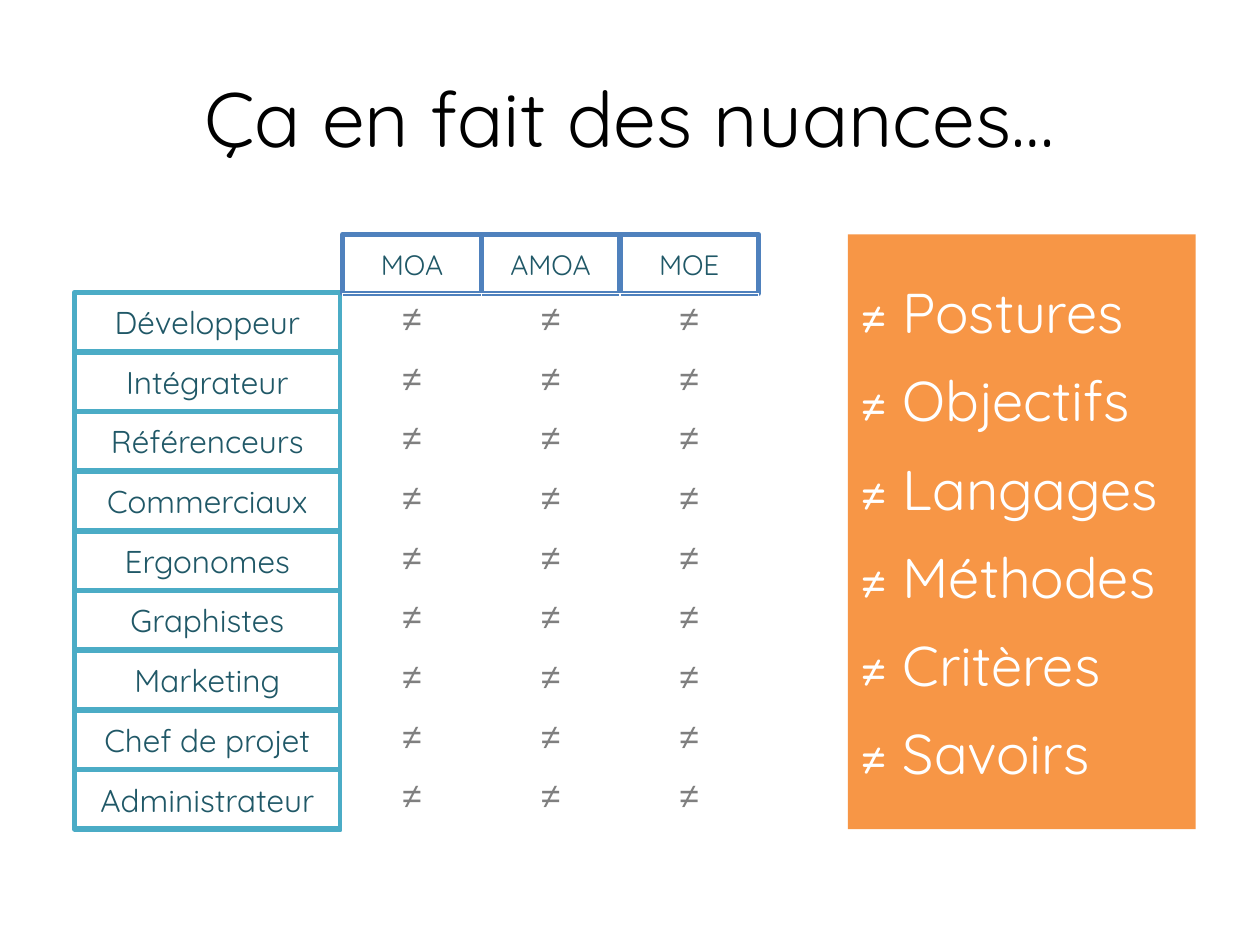
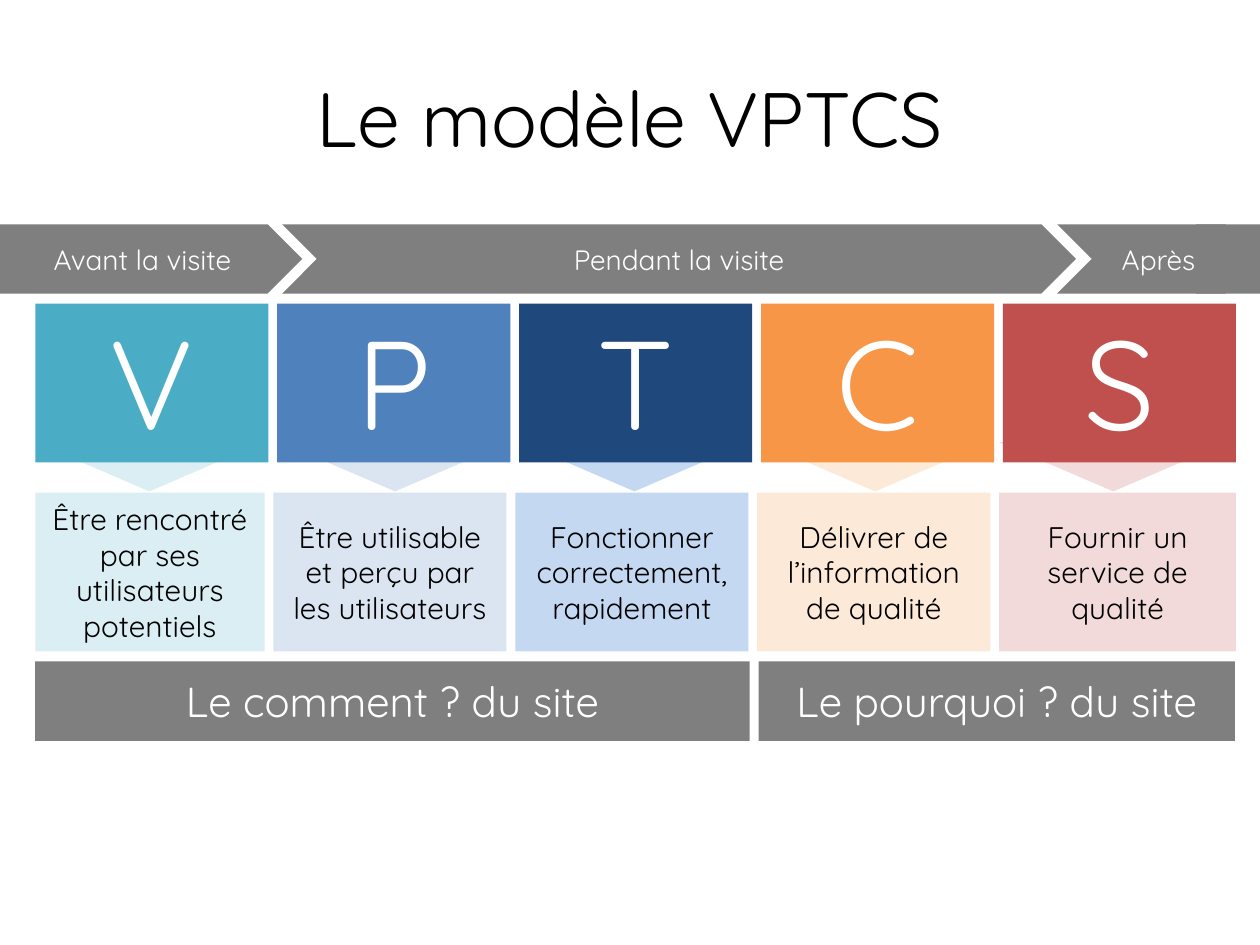
from pptx import Presentation
from pptx.dml.color import RGBColor
from pptx.enum.shapes import MSO_SHAPE
from pptx.enum.text import MSO_ANCHOR, PP_ALIGN
from pptx.util import Inches, Pt

COLORS = {
    "black": "000000", "white": "FFFFFF", "gray": "7F7F7F", "ink": "205867",
    "teal": "4BACC6", "blue": "4F81BD", "navy": "1F497D",
    "orange": "F79646", "red": "C0504D",
    "teal_light": "DAEEF3", "blue_light": "DAE5F1", "navy_light": "C5D8F1",
    "orange_light": "FDE9D8", "red_light": "F2DADA",
}
FONT = "Quicksand"


def add_text(tf, text, size=18, color="white", font=FONT,
             align=PP_ALIGN.CENTER, anchor=MSO_ANCHOR.MIDDLE, before=0):
    """Write one paragraph per line of text."""
    tf.word_wrap = True
    tf.vertical_anchor = anchor
    for i, line in enumerate(text.split("\n")):
        p = tf.paragraphs[0] if i == 0 else tf.add_paragraph()
        p.alignment = align
        if i and before:
            p.space_before = Pt(before)
        r = p.add_run()
        r.text = line
        r.font.name = font
        r.font.size = Pt(size)
        r.font.color.rgb = RGBColor.from_string(COLORS[color])


def add_box(s, x, y, w, h, text="", fill=None, line=None,
            kind=MSO_SHAPE.RECTANGLE, **fmt):
    sp = s.shapes.add_shape(kind, Inches(x), Inches(y), Inches(w), Inches(h))
    sp.shadow.inherit = False
    if fill:
        sp.fill.solid()
        sp.fill.fore_color.rgb = RGBColor.from_string(COLORS[fill])
    else:
        sp.fill.background()
    if line:
        sp.line.color.rgb = RGBColor.from_string(COLORS[line])
        sp.line.width = Pt(3)
    else:
        sp.line.fill.background()
    if text:
        add_text(sp.text_frame, text, **fmt)
    return sp


prs = Presentation()
prs.slide_width, prs.slide_height = Inches(10), Inches(7.5)

# Slides with their titles
slides = []
for title in ["Ça en fait des nuances…", "Le modèle VPTCS"]:
    s = prs.slides.add_slide(prs.slide_layouts[6])
    tb = s.shapes.add_textbox(Inches(0.5), Inches(0.3), Inches(9), Inches(1.25))
    add_text(tb.text_frame, title, size=44, color="black")
    slides.append(s)

# Slide 1: job rows
s = slides[0]
jobs = ["Développeur", "Intégrateur", "Référenceurs", "Commerciaux", "Ergonomes",
        "Graphistes", "Marketing", "Chef de projet", "Administrateur"]
row_step = (6.11 - 2.32) / (len(jobs) - 1)
for i, job in enumerate(jobs):
    add_box(s, 0.59, 2.32 + i * row_step, 2.11, 0.47, job, line="teal", color="ink")

# Role columns
roles = ["MOA", "AMOA", "MOE"]
for i, role in enumerate(roles):
    add_box(s, 2.72 + i * 1.1, 1.86, 1.1, 0.47, role, line="blue",
            size=16, color="ink")

# Grid of differences
table = s.shapes.add_table(len(jobs), len(roles), Inches(2.72), Inches(2.33),
                           Inches(1.1 * len(roles)),
                           Inches(row_step * len(jobs))).table
table.first_row = table.horz_banding = False
for row in table.rows:
    row.height = Inches(row_step)
    for cell in row.cells:
        cell.fill.background()
        add_text(cell.text_frame, "≠", size=20, color="gray", font="Arial")
        cell.vertical_anchor = MSO_ANCHOR.TOP

# Panel of differences
topics = ["Postures", "Objectifs", "Langages", "Méthodes", "Critères", "Savoirs"]
add_box(s, 6.73, 1.86, 2.76, 4.72, "\n".join("≠ " + t for t in topics),
        fill="orange", size=32, align=PP_ALIGN.LEFT, before=12)

# Slide 2: bottom bars
s = slides[1]
add_box(s, 6.02, 5.25, 3.78, 0.63, "Le pourquoi ? du site", fill="gray", size=24)
add_box(s, 0.28, 5.25, 5.67, 0.63, "Le comment ? du site", fill="gray", size=24)

# Visit timeline
steps = [
    ("Avant la visite", 0, 2.4, MSO_SHAPE.PENTAGON),
    ("Pendant la visite", 2.24, 6.3, MSO_SHAPE.CHEVRON),
    ("Après", 8.39, 1.61, MSO_SHAPE.CHEVRON),
]
for text, x, w, kind in steps:
    add_box(s, x, 1.78, w, 0.55, text, fill="gray", kind=kind, size=16)
add_box(s, 9.49, 1.78, 0.51, 0.55, fill="gray")

# Cards: letter, colour, tip left, description left and width, description
cards = [
    ("V", "teal", 0.28, 0.28, 1.82, "Être rencontré par ses utilisateurs potentiels"),
    ("P", "blue", 2.23, 2.17, 1.85, "Être utilisable et perçu par les utilisateurs"),
    ("T", "navy", 4.13, 4.09, 1.85, "Fonctionner correctement, rapidement"),
    ("C", "orange", 6.04, 6.01, 1.85, "Délivrer de l’information de qualité"),
    ("S", "red", 7.93, 7.93, 1.88, "Fournir un service de qualité"),
]
for i, (letter, color, tip_x, desc_x, desc_w, desc) in enumerate(cards):
    light = color + "_light"
    tip = add_box(s, tip_x, 3.51, 1.81, 0.39, fill=light,
                  kind=MSO_SHAPE.ISOSCELES_TRIANGLE)
    tip.rotation = 180
    add_box(s, desc_x, 3.91, desc_w, 1.26, desc, fill=light, size=17, color="black")
    add_box(s, 0.28 + i * 1.92, 2.41, 1.85, 1.26, letter, fill=color,
            size=72, anchor=MSO_ANCHOR.BOTTOM)

prs.save("out.pptx")
